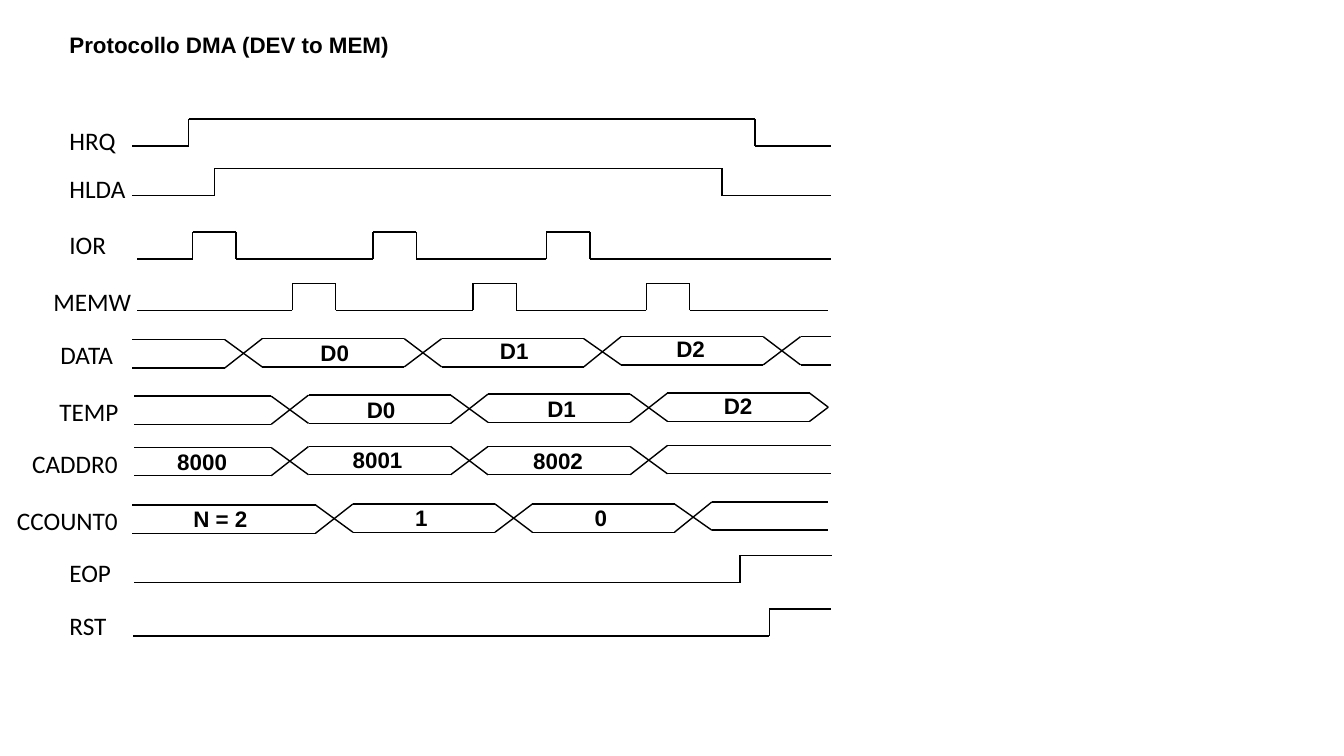
from dataclasses import dataclass

from lxml.etree import SubElement
from pptx import Presentation
from pptx.dml.color import RGBColor
from pptx.enum.shapes import MSO_CONNECTOR as Connector
from pptx.enum.text import MSO_AUTO_SIZE as AutoSize
from pptx.oxml.ns import qn
from pptx.util import Inches, Pt


@dataclass(frozen=True)
class Theme:
    ink: RGBColor = RGBColor(0, 0, 0)
    paper: RGBColor = RGBColor(255, 255, 255)
    signal_font: str = "Calibri"
    value_font: str = "Arial"
    signal_size: int = 18
    value_size: int = 16
    line_width: int = 1


# Shared timing geometry, in inches
SWING = 0.27        # height of a logic level
BUS_HEIGHT = 0.28   # distance between the two rails of a bus
CROSSING = 0.37     # width of a bus transition
BUS_PERIOD = 1.78   # distance between bus transitions
PULSE = 0.43        # width of a read or write strobe
READS = (1.91, 3.7, 5.42)
WRITE_DELAY = 0.99


class TimingDiagram:
    def __init__(self, slide, theme):
        self.slide = slide
        self.theme = theme
        fill = slide.background.fill
        fill.solid()
        fill.fore_color.rgb = theme.paper

    def line(self, start, end):
        connector = self.slide.shapes.add_connector(
            Connector.STRAIGHT, *map(Inches, (*start, *end)))
        connector.line.color.rgb = self.theme.ink
        connector.line.width = Pt(self.theme.line_width)
        SubElement(connector._element.spPr, qn("a:effectLst"))

    def text(self, words, left, top, width, height, font, size, bold, wrap):
        box = self.slide.shapes.add_textbox(
            *map(Inches, (left, top, width, height)))
        frame = box.text_frame
        frame.text = words
        frame.word_wrap = wrap
        frame.auto_size = AutoSize.SHAPE_TO_FIT_TEXT
        span = frame.paragraphs[0].runs[0]
        span.font.name = font
        span.font.size = Pt(size)
        span.font.bold = bold
        span.font.color.rgb = self.theme.ink

    def signal_name(self, words, left, top, width):
        self.text(words, left, top, width, 0.4, self.theme.signal_font,
                  self.theme.signal_size, False, True)

    def value(self, words, left, top, width):
        self.text(words, left, top, width, 0.37, self.theme.value_font,
                  self.theme.value_size, True, False)

    def wave(self, start, end, low, edges):
        """A level that starts low and toggles at every edge."""
        points = [(start, low)]
        level = low
        for edge in edges:
            points.append((edge, level))
            level = low - SWING if level == low else low
            points.append((edge, level))
        points.append((end, level))
        for here, there in zip(points, points[1:]):
            self.line(here, there)

    def bus(self, start, end, first_crossing, tops):
        """Two rails, one top per segment, that swap at every crossing."""
        left = start
        for index, top in enumerate(tops):
            last = index == len(tops) - 1
            right = end if last else first_crossing + index * BUS_PERIOD
            bottom = top + BUS_HEIGHT
            self.line((left, top), (right, top))
            self.line((left, bottom), (right, bottom))
            if not last:
                left = right + CROSSING
                next_top = tops[index + 1]
                self.line((right, top), (left, next_top + BUS_HEIGHT))
                self.line((right, bottom), (left, next_top))

    def bus_tip(self, left, top):
        """Closes the rails of a bus in a point."""
        tip = (left + CROSSING / 2, top + BUS_HEIGHT / 2)
        self.line((left, top), tip)
        self.line((left, top + BUS_HEIGHT), tip)


def strobes(starts):
    return [edge for start in starts for edge in (start, start + PULSE)]


# Signal name: left, top, width
NAMES = {
    "HRQ": (0.59, 1.19, 0.76),
    "HLDA": (0.59, 1.67, 0.76),
    "IOR": (0.59, 2.23, 0.76),
    "MEMW": (0.43, 2.79, 0.99),
    "DATA": (0.5, 3.32, 0.85),
    "TEMP": (0.49, 3.88, 0.85),
    "CADDR0": (0.22, 4.4, 1.12),
    "CCOUNT0": (0.07, 4.96, 1.29),
    "EOP": (0.59, 5.48, 0.65),
    "RST": (0.59, 6.01, 0.65),
}

# Start, end, low level, edges
WAVES = [
    (1.31, 8.24, 1.45, (1.87, 7.49)),
    (1.31, 8.24, 1.94, (2.13, 7.16)),
    (1.36, 8.24, 2.57, strobes(READS)),
    (1.36, 8.21, 3.08, strobes(read + WRITE_DELAY for read in READS)),
    (1.33, 8.25, 5.78, (7.34,)),
    (1.32, 8.24, 6.31, (7.63,)),
]

# Start, end, first crossing, top of each segment
BUSES = [
    (1.31, 8.24, 2.23, (3.37, 3.36, 3.36, 3.34, 3.34)),
    (1.33, 8.03, 2.69, (3.93, 3.92, 3.91, 3.9)),
    (1.33, 8.24, 2.69, (4.44, 4.43, 4.43, 4.42)),
    (1.31, 8.21, 3.13, (5.01, 5, 5, 4.98)),
]

# Width of the value boxes, then text, left, top
VALUES = [
    (0.49, [("D0", 3.08, 3.32), ("D1", 4.86, 3.3), ("D2", 6.61, 3.28),
            ("D0", 3.54, 3.88), ("D1", 5.33, 3.87), ("D2", 7.08, 3.84)]),
    (0.7, [("8000", 1.66, 4.4), ("8001", 3.4, 4.38), ("8002", 5.19, 4.39)]),
    (0.75, [("N = 2", 1.82, 4.96)]),
    (0.33, [("1", 4.02, 4.95), ("0", 5.8, 4.95)]),
]


def main():
    deck = Presentation()
    deck.slide_width = Inches(13.33)
    deck.slide_height = Inches(7.5)
    page = deck.slides.add_slide(deck.slide_layouts[6])
    diagram = TimingDiagram(page, Theme())

    # Title and signal names
    diagram.value("Protocollo DMA (DEV to MEM)", 0.59, 0.26, 3.41)
    for name, place in NAMES.items():
        diagram.signal_name(name, *place)

    # Control signals
    for wave in WAVES:
        diagram.wave(*wave)

    # Buses and registers
    for bus in BUSES:
        diagram.bus(*bus)
    diagram.bus_tip(8.03, 3.9)
    for width, values in VALUES:
        for words, left, top in values:
            diagram.value(words, left, top, width)

    deck.save("out.pptx")


if __name__ == "__main__":
    main()
